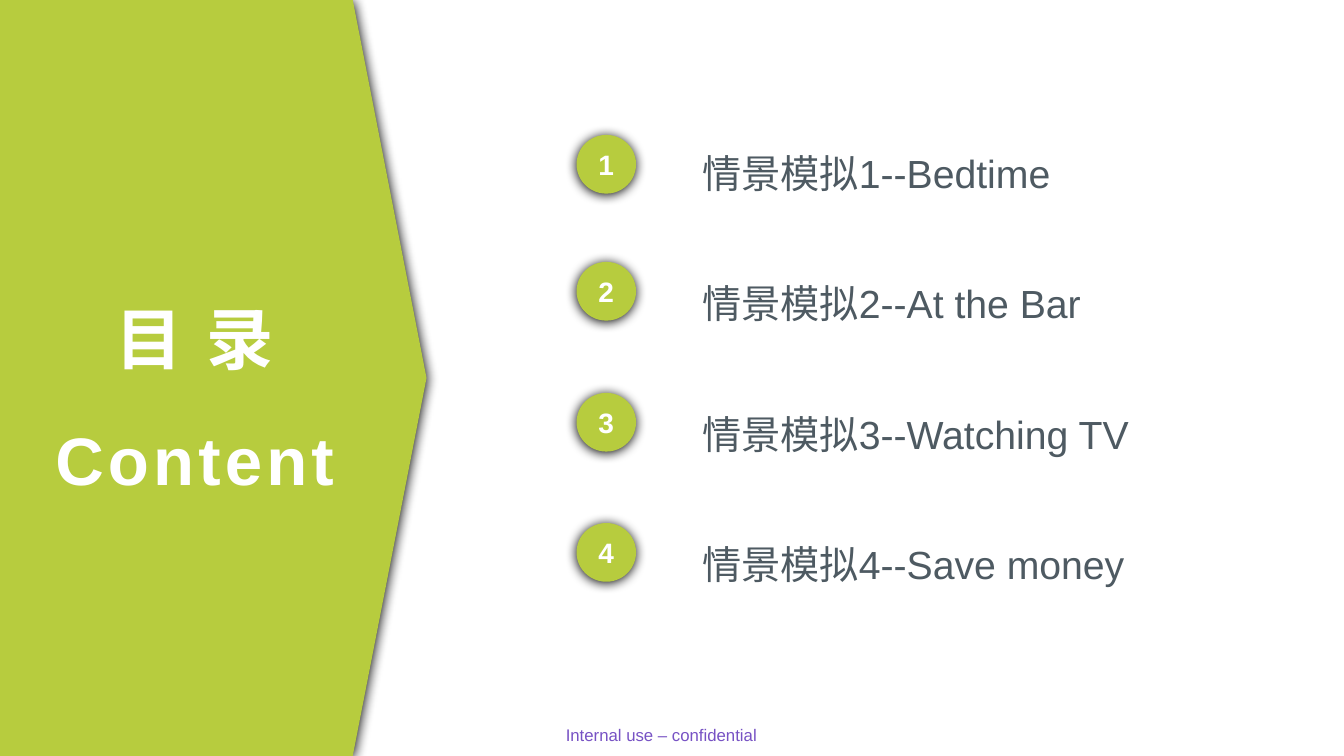
from dataclasses import dataclass

from lxml import etree
from pptx import Presentation
from pptx.dml.color import RGBColor
from pptx.enum.shapes import MSO_SHAPE
from pptx.enum.text import MSO_ANCHOR, MSO_AUTO_SIZE, PP_ALIGN
from pptx.oxml.ns import qn
from pptx.shapes.autoshape import Shape
from pptx.slide import Slide
from pptx.util import Cm, Pt

PENTAGON, OVAL = MSO_SHAPE.PENTAGON, MSO_SHAPE.OVAL
MIDDLE = MSO_ANCHOR.MIDDLE
LEFT, CENTER = PP_ALIGN.LEFT, PP_ALIGN.CENTER
FIT_SHAPE = MSO_AUTO_SIZE.SHAPE_TO_FIT_TEXT

GREEN = RGBColor(0xB7, 0xCC, 0x3E)
WHITE = RGBColor(0xFF, 0xFF, 0xFF)
SLATE = RGBColor(0x4E, 0x5A, 0x62)
PURPLE = RGBColor(0x77, 0x52, 0xC4)

LATIN_FONT = "Arial"
CHINESE_FONT = "Noto Sans CJK SC"

FIRST_TOPIC_TOP = 3.05
TOPIC_PITCH = 3.28


@dataclass(frozen=True)
class TextStyle:
    size: float
    color: RGBColor
    bold: bool = False
    align: PP_ALIGN = LEFT
    line_spacing: float = 1.0
    space_before: float = 0
    letter_spacing: float = 0


@dataclass(frozen=True)
class Topic:
    title: str
    badge_top: float
    title_width: float


PANEL_STYLE = TextStyle(48, WHITE, True, CENTER, 1.5, letter_spacing=3)
BADGE_STYLE = TextStyle(20, WHITE, True, CENTER)
TOPIC_STYLE = TextStyle(28, SLATE, line_spacing=1.5)
FOOTER_STYLE = TextStyle(12, PURPLE, align=CENTER, line_spacing=0.9, space_before=4.5)

TOPICS = [
    Topic("情景模拟1--Bedtime", 3.4, 9.9),
    Topic("情景模拟2--At the Bar", 6.6, 11.58),
    Topic("情景模拟3--Watching TV", 9.9, 12.9),
    Topic("情景模拟4--Save money", 13.18, 12.9),
]


def write_text(shape: Shape, lines: list[str], style: TextStyle) -> None:
    frame = shape.text_frame
    frame.text = "\n".join(lines)
    for paragraph in frame.paragraphs:
        paragraph.alignment = style.align
        paragraph.line_spacing = style.line_spacing
        paragraph.space_before = Pt(style.space_before)
        font = paragraph.font
        font.size = Pt(style.size)
        font.bold = style.bold
        font.name = LATIN_FONT
        font.color.rgb = style.color
        # East Asian typeface and letter spacing
        defaults = paragraph._p.pPr.find(qn("a:defRPr"))
        etree.SubElement(defaults, qn("a:ea"), typeface=CHINESE_FONT)
        if style.letter_spacing:
            defaults.set("spc", str(round(style.letter_spacing * 100)))


def add_shadow(shape: Shape) -> None:
    shape.shadow.inherit = False
    effects = shape._element.spPr.find(qn("a:effectLst"))
    shadow = etree.SubElement(
        effects, qn("a:outerShdw"), blurRad=str(Pt(8.5)), dist=str(Pt(1)),
        dir="5400000", algn="ctr", rotWithShape="0",
    )
    etree.SubElement(shadow, qn("a:srgbClr"), val="000000")


def add_green_shape(slide: Slide, kind: MSO_SHAPE, left: float, top: float,
                    width: float, height: float) -> Shape:
    shape = slide.shapes.add_shape(kind, Cm(left), Cm(top), Cm(width), Cm(height))
    shape.fill.solid()
    shape.fill.fore_color.rgb = GREEN
    shape.line.fill.background()
    add_shadow(shape)
    shape.text_frame.vertical_anchor = MIDDLE
    return shape


def add_label(slide: Slide, left: float, top: float, width: float, height: float,
              text: str, style: TextStyle) -> None:
    label = slide.shapes.add_textbox(Cm(left), Cm(top), Cm(width), Cm(height))
    label.text_frame.word_wrap = True
    label.text_frame.auto_size = FIT_SHAPE
    write_text(label, [text], style)


def add_title_panel(slide: Slide) -> None:
    panel = add_green_shape(slide, PENTAGON, 0, 0, 10.75, 19.05)
    panel.adjustments[0] = 0.173
    panel.text_frame.word_wrap = True
    write_text(panel, ["目 录", "Content"], PANEL_STYLE)


def add_topic(slide: Slide, index: int, topic: Topic) -> None:
    badge = add_green_shape(slide, OVAL, 14.53, topic.badge_top, 1.5, 1.48)
    badge.text_frame.word_wrap = False
    badge.text_frame.margin_left = badge.text_frame.margin_right = Cm(0)
    write_text(badge, [str(index + 1)], BADGE_STYLE)
    add_label(slide, 17.45, FIRST_TOPIC_TOP + index * TOPIC_PITCH,
              topic.title_width, 2.06, topic.title, TOPIC_STYLE)


def main() -> None:
    presentation = Presentation()
    presentation.slide_width = Cm(33.87)
    presentation.slide_height = Cm(19.05)
    slide = presentation.slides.add_slide(presentation.slide_layouts[6])

    # Footer and title panel
    add_label(slide, 12.88, 18.19, 7.7, 0.71,
              "Internal use – confidential ", FOOTER_STYLE)
    add_title_panel(slide)

    # Numbered topics
    for index, topic in enumerate(TOPICS):
        add_topic(slide, index, topic)

    presentation.save("out.pptx")


if __name__ == "__main__":
    main()
